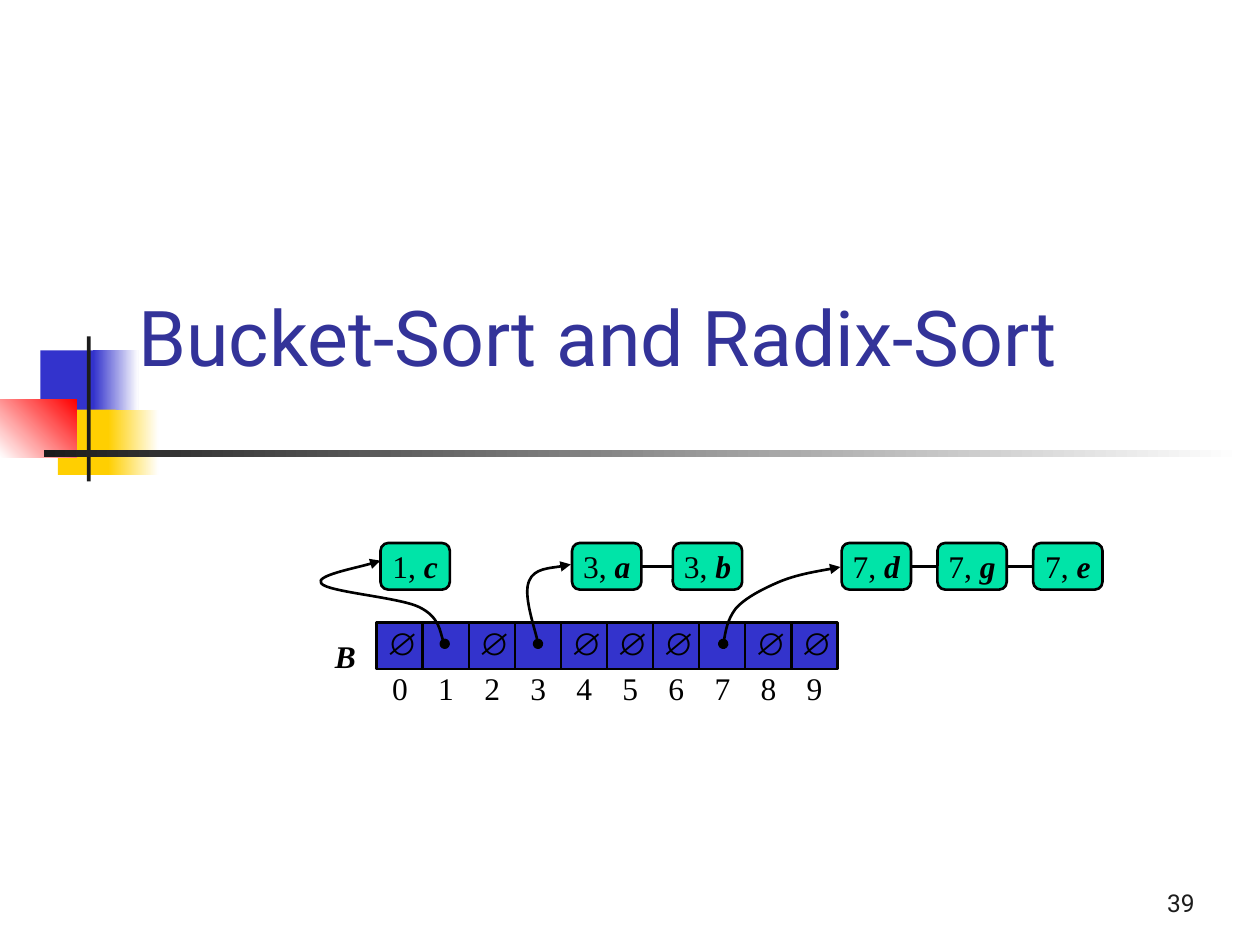
import pptx
import pptx.util
import pptx.dml.color
import pptx.enum.shapes
import pptx.enum.text
import pptx.oxml.ns
from dataclasses import dataclass
from lxml import etree

Inches = pptx.util.Inches
SHAPE = pptx.enum.shapes.MSO_SHAPE
ALIGN = pptx.enum.text.PP_ALIGN
ANCHOR = pptx.enum.text.MSO_ANCHOR
qn = pptx.oxml.ns.qn


@dataclass(frozen=True)
class Theme:
    blue: str = "3333CC"
    yellow: str = "FFCF01"
    red: str = "FF0000"
    white: str = "FFFFFF"
    dark: str = "1C1C1C"
    title: str = "333399"
    ink: str = "000000"
    node: str = "00E4A8"
    sans: str = "Roboto"
    serif: str = "Times New Roman"
    symbol: str = "Arial"
    title_size: int = 44
    body_size: int = 18
    number_size: int = 14
    line: float = 1.5


T = Theme()

# Bucket array and linked lists
CELL_LEFT, CELL_TOP, CELL_SIZE = 2.99, 4.94, 0.37
PITCH = 3.29 / 9
NODE_TOP, NODE_W, NODE_H = 4.31, 0.55, 0.37
EMPTY_BUCKETS = (0, 2, 4, 5, 6, 8, 9)

# Bezier points from each bucket to its first node
POINTERS = [
    [(3.53, 5.11), (3.5, 5.07), (3.49, 4.9), (3.33, 4.82), (3.17, 4.74),
     (2.6, 4.7), (2.55, 4.63), (2.5, 4.57), (2.92, 4.49), (3.02, 4.45)],
    [(4.27, 5.11), (4.26, 5.03), (4.15, 4.72), (4.2, 4.61), (4.24, 4.51),
     (4.46, 4.5), (4.53, 4.48)],
    [(5.74, 5.11), (5.75, 5.07), (5.77, 4.92), (5.84, 4.83), (5.91, 4.75),
     (6.04, 4.68), (6.18, 4.62), (6.32, 4.56), (6.57, 4.52), (6.67, 4.5)],
]


def rgb(color):
    return pptx.dml.color.RGBColor.from_string(color)


def style_line(s):
    s.line.color.rgb = rgb(T.ink)
    s.line.width = pptx.util.Pt(T.line)


def style_run(r, font, size, color, strong=False):
    r.font.name = font
    r.font.size = pptx.util.Pt(size)
    r.font.color.rgb = rgb(color)
    if strong:
        r.font.bold = r.font.italic = True


def set_frame(tf, anchor, margins=(0.1, 0.05, 0.1, 0.05), wrap=False):
    tf.word_wrap = wrap
    tf.vertical_anchor = anchor
    (tf.margin_left, tf.margin_top,
     tf.margin_right, tf.margin_bottom) = map(Inches, margins)


def add_box(sp, kind, at, fill):
    s = sp.add_shape(kind, *map(Inches, at))
    s.shadow.inherit = False
    s.fill.solid()
    s.fill.fore_color.rgb = rgb(fill)
    return s


def add_block(sp, at, fill, end=None, angle=0):
    """Borderless rectangle, fading to the colour `end` if given."""
    s = add_box(sp, SHAPE.RECTANGLE, at, fill)
    s.line.fill.background()
    if end:
        s.fill.gradient()
        s.fill.gradient_angle = angle
        for stop, color in zip(s.fill.gradient_stops, (fill, end)):
            stop.color.rgb = rgb(color)


def add_text(sp, at, text, font, size, color, align=ALIGN.CENTER,
             anchor=ANCHOR.TOP, wrap=False, strong=False):
    tf = sp.add_textbox(*map(Inches, at)).text_frame
    set_frame(tf, anchor, wrap=wrap)
    tf.text = text
    p = tf.paragraphs[0]
    p.alignment = align
    style_run(p.runs[0], font, size, color, strong)


def add_cell(sp, index):
    """Bucket whose index hangs just below it."""
    at = (CELL_LEFT + index * PITCH, CELL_TOP, CELL_SIZE, CELL_SIZE)
    s = add_box(sp, SHAPE.RECTANGLE, at, T.blue)
    style_line(s)
    tf = s.text_frame
    set_frame(tf, ANCHOR.TOP, (0.1, 0.37, 0.1, -0.28))
    tf.text = str(index)
    p = tf.paragraphs[0]
    p.alignment = ALIGN.CENTER
    style_run(p.runs[0], T.serif, T.body_size, T.ink)


def add_node(sp, left, key, value):
    s = add_box(sp, SHAPE.ROUNDED_RECTANGLE,
                (left, NODE_TOP, NODE_W, NODE_H), T.node)
    style_line(s)
    tf = s.text_frame
    set_frame(tf, ANCHOR.MIDDLE, (0, 0.05, 0, 0.05))
    p = tf.paragraphs[0]
    p.alignment = ALIGN.CENTER
    for text, strong in ((f"{key}, ", False), (value, True)):
        r = p.add_run()
        r.text = text
        style_run(r, T.serif, T.body_size, T.ink, strong)
    return s


def link(sp, first, second):
    s = sp.add_connector(pptx.enum.shapes.MSO_CONNECTOR.STRAIGHT, 0, 0, 0, 0)
    s.begin_connect(first, 3)
    s.end_connect(second, 1)
    style_line(s)
    etree.SubElement(s._element.spPr, qn("a:effectLst"))


def add_pointer(sp, points):
    pts = [(Inches(x), Inches(y)) for x, y in points]
    builder = sp.build_freeform(*pts[0])
    builder.add_line_segments(pts[1:], close=False)
    s = builder.convert_to_shape()
    s.shadow.inherit = False
    s.fill.background()
    style_line(s)
    # Every three segments become one cubic curve
    segments = list(s._element.iter(qn("a:lnTo")))
    for i in range(0, len(segments), 3):
        curve = etree.Element(qn("a:cubicBezTo"))
        segments[i].addprevious(curve)
        for segment in segments[i:i + 3]:
            curve.append(segment[0])
            segment.getparent().remove(segment)
    ln = s.line._get_or_add_ln()
    etree.SubElement(ln, qn("a:headEnd"), type="oval")
    etree.SubElement(ln, qn("a:tailEnd"), type="triangle")


def add_decoration(sp):
    add_block(sp, (0.32, 2.78, 0.48, 0.52), T.blue)
    add_block(sp, (0.74, 2.78, 0.36, 0.52), T.blue, T.white)
    add_block(sp, (0.46, 3.25, 0.46, 0.52), T.yellow)
    add_block(sp, (0.86, 3.25, 0.4, 0.52), T.yellow, T.white)
    add_block(sp, (0, 3.17, 0.61, 0.46), T.white, T.red, 45)
    add_block(sp, (0.69, 2.67, 0.03, 1.15), T.dark)
    add_block(sp, (0.35, 3.57, 9.51, 0.06), T.dark, T.white)


def add_diagram(sp):
    # Bucket array
    for index in range(10):
        add_cell(sp, index)
    add_text(sp, (2.56, 5.01, 0.36, 0.4), "B", T.serif, T.body_size, T.ink,
             strong=True)
    for index in EMPTY_BUCKETS:
        left = CELL_LEFT + index * PITCH - 0.02
        add_text(sp, (left, 4.9, 0.4, 0.4), "∅", T.symbol, T.body_size, T.ink)

    # Linked lists
    for chain in ([(3.02, 1, "c")],
                  [(4.54, 3, "a"), (5.34, 3, "b")],
                  [(6.68, 7, "d"), (7.44, 7, "g"), (8.2, 7, "e")]):
        nodes = [add_node(sp, *entry) for entry in chain]
        for first, second in zip(nodes, nodes[1:]):
            link(sp, first, second)
    for points in POINTERS:
        add_pointer(sp, points)


def main():
    prs = pptx.Presentation()
    prs.slide_width, prs.slide_height = Inches(10), Inches(7.5)
    sp = prs.slides.add_slide(prs.slide_layouts[6]).shapes
    add_decoration(sp)
    add_text(sp, (7.5, 6.83, 2.08, 0.5), "39", T.sans, T.number_size, T.dark,
             ALIGN.RIGHT, ANCHOR.BOTTOM, wrap=True)
    add_text(sp, (1, 1.83, 8.5, 1.25), "Bucket-Sort and Radix-Sort", T.sans,
             T.title_size, T.title, ALIGN.LEFT, ANCHOR.BOTTOM, wrap=True)
    add_diagram(sp)
    prs.save("out.pptx")


if __name__ == "__main__":
    main()
